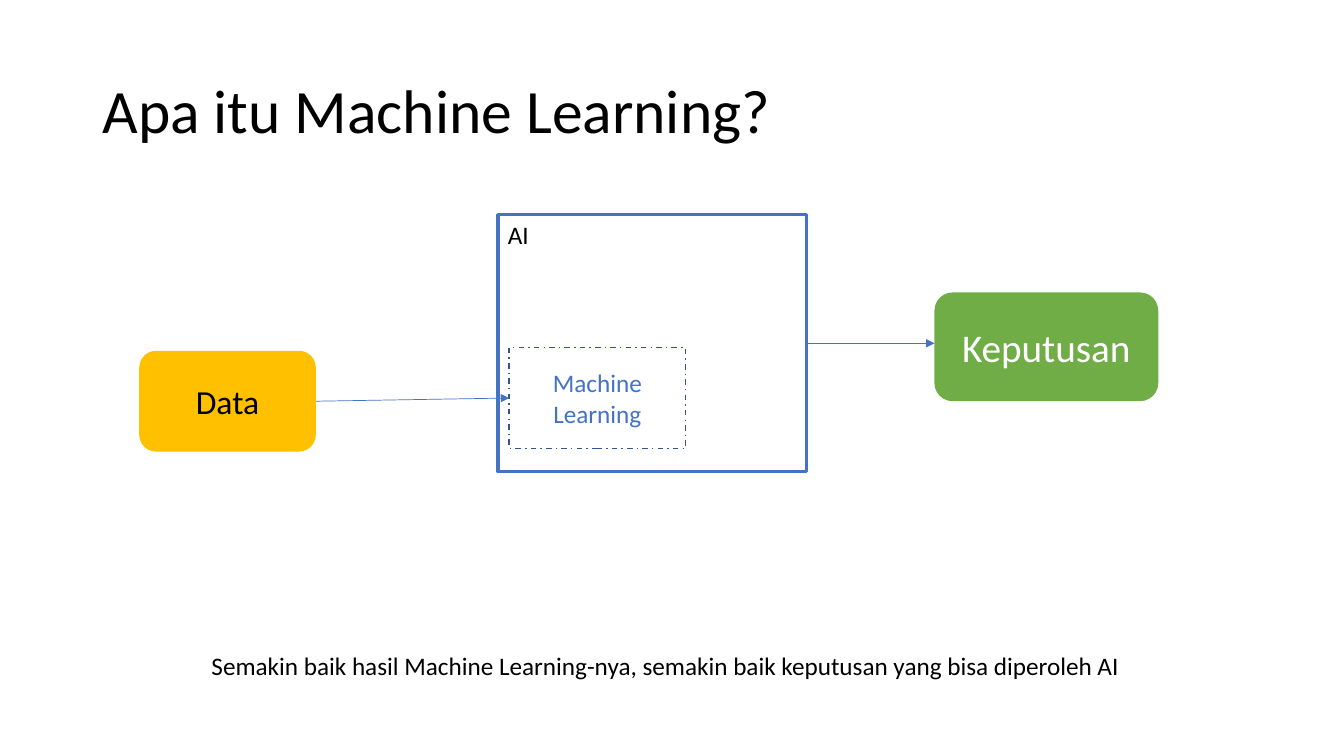
from dataclasses import dataclass

import pptx
import pptx.dml.color
import pptx.enum.dml
import pptx.enum.shapes
import pptx.enum.text
import pptx.oxml
import pptx.oxml.ns
import pptx.util

Cm = pptx.util.Cm
Pt = pptx.util.Pt
ALIGN = pptx.enum.text.PP_ALIGN
ANCHOR = pptx.enum.text.MSO_ANCHOR
AUTO_SIZE = pptx.enum.text.MSO_AUTO_SIZE
SHAPE = pptx.enum.shapes.MSO_SHAPE


@dataclass(frozen=True)
class Theme:
    """Colours, font and type sizes of the slide."""
    font: str = "Calibri"
    dark: str = "000000"
    light: str = "FFFFFF"
    blue: str = "4472C4"
    dark_blue: str = "325491"
    amber: str = "FFC000"
    green: str = "70AD47"
    title_size: int = 44
    decision_size: int = 28
    data_size: int = 24
    body_size: int = 18


@dataclass(frozen=True)
class Box:
    """A rectangle in centimetres."""
    left: float
    top: float
    width: float
    height: float

    def inner(self, left, top, width, height):
        """Return a box placed relative to this one."""
        return Box(self.left + left, self.top + top, width, height)

    def lengths(self):
        """Return left, top, width and height as lengths."""
        return Cm(self.left), Cm(self.top), Cm(self.width), Cm(self.height)


THEME = Theme()


def rgb(value):
    """Return a colour from its hexadecimal digits."""
    return pptx.dml.color.RGBColor.from_string(value)


def write(shape, text, size, color, align=ALIGN.LEFT, anchor=ANCHOR.TOP):
    """Write one formatted run in a shape and return its paragraph."""
    shape.text_frame.vertical_anchor = anchor
    paragraph = shape.text_frame.paragraphs[0]
    paragraph.alignment = align
    run = paragraph.add_run()
    run.text = text
    run.font.name = THEME.font
    run.font.size = Pt(size)
    run.font.color.rgb = rgb(color)
    return paragraph


def add_block(slide, kind, box, fill=None, line=None, weight=1):
    """Add a flat shape with an optional fill and outline."""
    shape = slide.shapes.add_shape(kind, *box.lengths())
    shape.shadow.inherit = False
    shape.text_frame.word_wrap = True
    if fill:
        shape.fill.solid()
        shape.fill.fore_color.rgb = rgb(fill)
    else:
        shape.fill.background()
    if line:
        shape.line.color.rgb = rgb(line)
        shape.line.width = Pt(weight)
    else:
        shape.line.fill.background()
    return shape


def add_arrow(slide, source, target):
    """Draw an arrow from the right side of source to the left side of target."""
    start_y = source.top + source.height // 2
    arrow = slide.shapes.add_connector(
        pptx.enum.shapes.MSO_CONNECTOR.STRAIGHT,
        source.left + source.width, start_y, target.left, start_y)
    arrow.begin_connect(source, 3)
    arrow.line.color.rgb = rgb(THEME.blue)
    arrow.line.width = Pt(0.5)
    line = arrow.line._get_or_add_ln()
    line.append(pptx.oxml.parse_xml(
        f'<a:tailEnd {pptx.oxml.ns.nsdecls("a")} type="triangle"/>'))
    arrow._element.spPr.append(pptx.oxml.parse_xml(
        f'<a:effectLst {pptx.oxml.ns.nsdecls("a")}/>'))
    return arrow


def draw_title(slide, box):
    """Place the slide title in its placeholder."""
    title = slide.shapes.title
    title.left, title.top, title.width, title.height = box.lengths()
    title.text_frame.auto_size = AUTO_SIZE.NONE
    paragraph = write(title, "Apa itu Machine Learning?", THEME.title_size,
                      THEME.dark, anchor=ANCHOR.MIDDLE)
    paragraph.line_spacing = 0.9


def draw_flow(slide, box):
    """Draw the flow from data through machine learning to a decision."""
    system = add_block(slide, SHAPE.RECTANGLE, box.inner(9.04, 0, 7.77, box.height),
                       line=THEME.blue, weight=2.25)
    write(system, "AI", THEME.body_size, THEME.dark)

    data = add_block(slide, SHAPE.ROUNDED_RECTANGLE,
                     box.inner(0, 3.43, 4.45, 2.54), fill=THEME.amber)
    learning = add_block(slide, SHAPE.RECTANGLE, box.inner(9.32, 3.35, 4.45, 2.54),
                         line=THEME.dark_blue)
    learning.line.dash_style = pptx.enum.dml.MSO_LINE.DASH_DOT
    decision = add_block(slide, SHAPE.ROUNDED_RECTANGLE,
                         box.inner(20.04, 1.96, 5.64, 2.74), fill=THEME.green)

    for shape, text, size, color in (
            (data, "Data", THEME.data_size, THEME.dark),
            (learning, "Machine Learning", THEME.body_size, THEME.blue),
            (decision, "Keputusan", THEME.decision_size, THEME.light)):
        write(shape, text, size, color, ALIGN.CENTER, ANCHOR.MIDDLE)

    add_arrow(slide, data, learning).end_connect(learning, 1)
    add_arrow(slide, system, decision)


def draw_caption(slide, box):
    """Write the closing remark on one line."""
    caption = slide.shapes.add_textbox(*box.lengths())
    caption.text_frame.word_wrap = False
    caption.text_frame.auto_size = AUTO_SIZE.SHAPE_TO_FIT_TEXT
    write(caption, "Semakin baik hasil Machine Learning-nya, semakin baik "
          "keputusan yang bisa diperoleh AI", THEME.body_size, THEME.dark)


def main():
    """Build the slide and save it."""
    presentation = pptx.Presentation()
    presentation.slide_width = Cm(33.87)
    presentation.slide_height = Cm(19.05)
    slide = presentation.slides.add_slide(presentation.slide_layouts[5])
    draw_title(slide, Box(2.33, 1.02, 29.21, 3.68))
    draw_flow(slide, Box(3.51, 5.41, 25.68, 6.48))
    draw_caption(slide, Box(5.08, 16.26, 23.5, 1.02))
    presentation.save("out.pptx")


if __name__ == "__main__":
    main()
